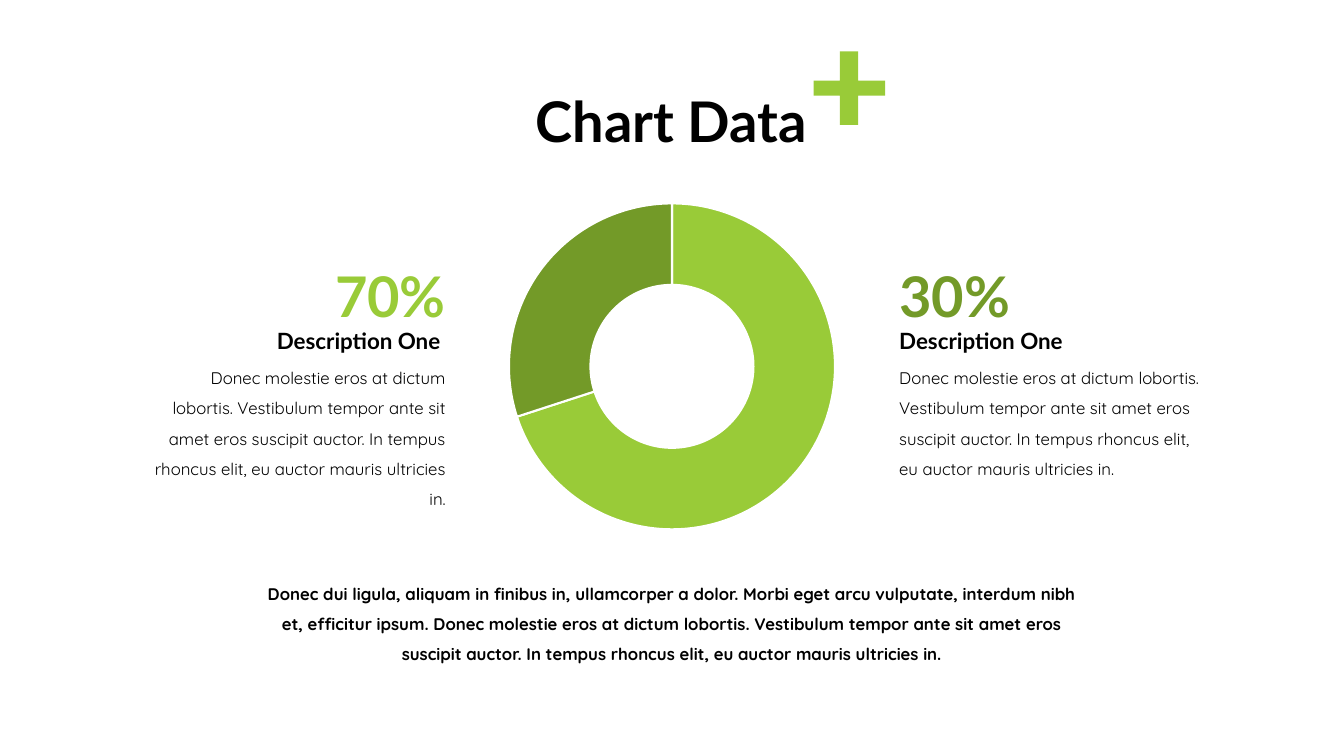
"""Build a slide with a two-part doughnut chart and its descriptions."""
from dataclasses import dataclass

from pptx import Presentation
from pptx.chart.data import CategoryChartData
from pptx.dml.color import RGBColor
from pptx.enum.chart import XL_CHART_TYPE
from pptx.enum.text import MSO_ANCHOR, MSO_AUTO_SIZE, PP_ALIGN
from pptx.slide import Slide
from pptx.util import Inches, Pt

BLACK = RGBColor(0x00, 0x00, 0x00)
WHITE = RGBColor(0xFF, 0xFF, 0xFF)
LIME = RGBColor(0x99, 0xCB, 0x38)
OLIVE = RGBColor(0x73, 0x9A, 0x28)
HEADING_FONT = "Lato"
BODY_FONT = "Quicksand"
MOLESTIE = (
    "Donec molestie eros at dictum lobortis. Vestibulum tempor ante sit amet eros "
    "suscipit auctor. In tempus rhoncus elit, eu auctor mauris ultricies in."
)
SUMMARY = (
    "Donec dui ligula, aliquam in finibus in, ullamcorper a dolor. "
    "Morbi eget arcu vulputate, interdum nibh et, efficitur ipsum. " + MOLESTIE
)


@dataclass(frozen=True)
class Label:
    """A single-paragraph text box."""

    text: str
    left: float
    top: float
    width: float
    height: float
    size: int
    font: str = HEADING_FONT
    color: RGBColor = BLACK
    bold: bool = True
    align: PP_ALIGN = PP_ALIGN.LEFT
    spacing: float = 1.5
    anchor: MSO_ANCHOR = MSO_ANCHOR.TOP
    fit: MSO_AUTO_SIZE = MSO_AUTO_SIZE.SHAPE_TO_FIT_TEXT


LABELS = (
    Label(MOLESTIE, 1.41, 3.5, 3.11, 1.31, 12, BODY_FONT, bold=False, align=PP_ALIGN.RIGHT),
    Label("Description One ", 0.93, 3.06, 3.59, 0.5, 16, align=PP_ALIGN.RIGHT),
    Label("70%", 2.75, 2.21, 1.77, 1.11, 40, color=LIME, align=PP_ALIGN.RIGHT),
    Label(MOLESTIE, 8.82, 3.5, 3.24, 1.31, 12, BODY_FONT, bold=False),
    Label("Description One", 8.82, 3.06, 2.89, 0.45, 16),
    Label("30%", 8.82, 2.21, 1.77, 1.01, 40, color=OLIVE),
    Label(SUMMARY, 2.45, 5.64, 8.43, 1.01, 12, BODY_FONT, align=PP_ALIGN.CENTER),
    Label("Chart Data", 4.12, 0.51, 5.08, 1.45, 40, align=PP_ALIGN.CENTER,
          spacing=0.9, anchor=MSO_ANCHOR.MIDDLE, fit=MSO_AUTO_SIZE.NONE),
)


def add_label(page: Slide, label: Label) -> None:
    """Add one text box."""
    box = page.shapes.add_textbox(
        Inches(label.left), Inches(label.top), Inches(label.width), Inches(label.height)
    )
    frame = box.text_frame
    frame.word_wrap = True
    frame.auto_size = label.fit
    frame.vertical_anchor = label.anchor
    para = frame.paragraphs[0]
    para.alignment = label.align
    para.line_spacing = label.spacing
    span = para.add_run()
    span.text = label.text
    span.font.name = label.font
    span.font.size = Pt(label.size)
    span.font.bold = label.bold
    span.font.color.rgb = label.color


def add_doughnut(page: Slide) -> None:
    """Add the doughnut chart."""
    data = CategoryChartData()
    data.categories = ["1", "2"]
    data.add_series("Series 1", (70, 30))
    chart = page.shapes.add_chart(
        XL_CHART_TYPE.DOUGHNUT, Inches(4.03), Inches(1.88), Inches(5.27), Inches(3.51), data
    ).chart
    chart.has_title = False
    chart.has_legend = False
    chart.font.name = BODY_FONT
    chart.font.size = Pt(10)
    chart.font.color.rgb = BLACK
    plot = chart.plots[0]
    plot.vary_by_categories = True
    for hole in plot._element.xpath("c:holeSize"):
        hole.set("val", "75")
    for index, color in enumerate((LIME, OLIVE)):
        look = plot.series[0].points[index].format
        look.fill.solid()
        look.fill.fore_color.rgb = color
        look.line.color.rgb = WHITE
        look.line.width = Pt(1.5)


def add_plus(page: Slide) -> None:
    """Add the plus sign beside the title."""
    left, bar_left, bar_right, right = map(Inches, (8.07, 8.33, 8.51, 8.78))
    top, bar_top, bar_bottom, bottom = map(Inches, (0.51, 0.8, 0.95, 1.24))
    builder = page.shapes.build_freeform(bar_left, top)
    builder.add_line_segments((
        (bar_right, top), (bar_right, bar_top), (right, bar_top), (right, bar_bottom),
        (bar_right, bar_bottom), (bar_right, bottom), (bar_left, bottom),
        (bar_left, bar_bottom), (left, bar_bottom), (left, bar_top), (bar_left, bar_top),
    ))
    plus = builder.convert_to_shape()
    plus.shadow.inherit = False
    plus.fill.solid()
    plus.fill.fore_color.rgb = LIME
    plus.line.fill.background()


def main() -> None:
    """Build and save the deck."""
    deck = Presentation()
    deck.slide_width = Inches(13.33)
    deck.slide_height = Inches(7.5)
    page = deck.slides.add_slide(deck.slide_layouts[6])
    add_doughnut(page)
    add_plus(page)
    for label in LABELS:
        add_label(page, label)
    deck.save("out.pptx")


if __name__ == "__main__":
    main()
